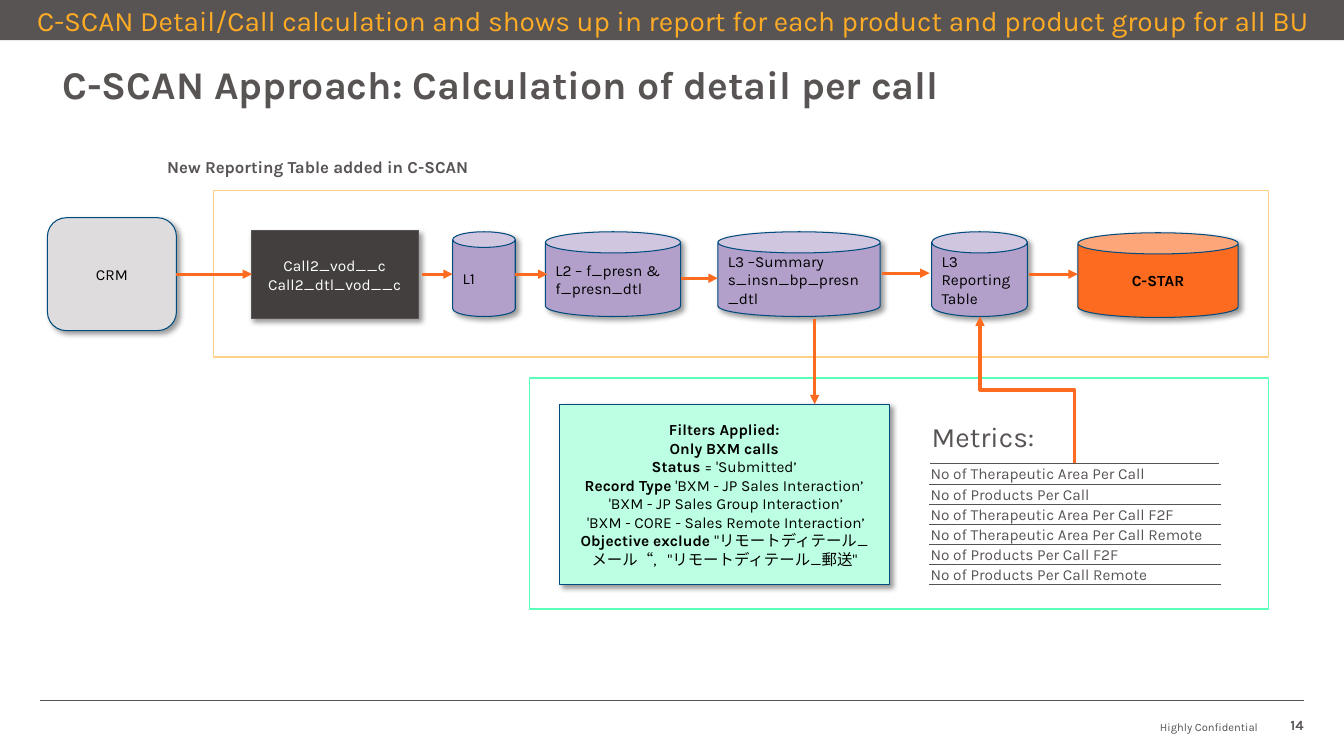
import pptx
import pptx.util
import pptx.dml.color
import pptx.enum.shapes
import pptx.enum.text
import pptx.oxml

Shape = pptx.enum.shapes.MSO_SHAPE
Link = pptx.enum.shapes.MSO_CONNECTOR
Align = pptx.enum.text.PP_ALIGN
Anchor = pptx.enum.text.MSO_ANCHOR
Pt = pptx.util.Pt
RGB = pptx.dml.color.RGBColor.from_string
PX = 9144
NS = 'xmlns:a="http://schemas.openxmlformats.org/drawingml/2006/main"'
COLORS = {
    "gray": "595454", "navy": "004B7E", "orange": "FC6B20", "amber": "FFAC25",
    "sand": "FFD186", "green": "59FFB9", "mint": "BDFFE3", "violet": "B2A0CA",
    "silver": "DEDCDC", "coal": "433F3F", "white": "FFFFFF", "black": "000000",
}

deck = pptx.Presentation()
deck.slide_width = 1333 * PX
deck.slide_height = 750 * PX
slide = deck.slides.add_slide(deck.slide_layouts[5])
shapes = slide.shapes


def write(frame, lines, size, color, align=Align.LEFT, anchor=Anchor.TOP, inset=0):
    frame.word_wrap = True
    frame.auto_size = pptx.enum.text.MSO_AUTO_SIZE.NONE
    frame.vertical_anchor = anchor
    frame.margin_left = frame.margin_right = inset * PX
    frame.margin_top = frame.margin_bottom = inset * PX
    for i, parts in enumerate(lines):
        para = frame.paragraphs[0] if i == 0 else frame.add_paragraph()
        para.alignment = align
        for text, bold in zip(parts, (True, False)):
            if text:
                run = para.add_run()
                run.text = text
                run.font.name = "Karla"
                run.font.size = Pt(size)
                run.font.bold = bold
                run.font.color.rgb = RGB(COLORS[color])


def draw(kind, place, fill, line=None, width=0.75, shadow=False):
    shape = shapes.add_shape(kind, *[n * PX for n in place])
    shape.fill.solid()
    shape.fill.fore_color.rgb = RGB(COLORS[fill])
    if line:
        shape.line.color.rgb = RGB(COLORS[line])
        shape.line.width = Pt(width)
    else:
        shape.line.fill.background()
    shape.shadow.inherit = False
    if shadow:
        shape._element.spPr.find(pptx.oxml.ns.qn("a:effectLst")).append(pptx.oxml.parse_xml(
            f'<a:outerShdw {NS} blurRad="50800" dist="38100" dir="2700000" algn="tl" rotWithShape="0">'
            '<a:srgbClr val="000000"><a:alpha val="40000"/></a:srgbClr></a:outerShdw>'))
    return shape


title = shapes.title
title.left, title.top, title.width, title.height = [n * PX for n in (62, 65, 1210, 57)]
write(title.text_frame, [("C-SCAN Approach: Calculation of detail per call", "")], 28, "gray")
title.text_frame.paragraphs[0].line_spacing = 0.9

draw(Shape.RECTANGLE, (525, 375, 733, 229), "white", "green", 1)
draw(Shape.RECTANGLE, (212, 189, 1046, 165), "white", "sand", 1)

banner = draw(Shape.RECTANGLE, (0, 0, 1336, 40), "gray")
write(banner.text_frame, [("", "C-SCAN Detail/Call calculation and shows up in report for each product and product group for all BU")],
      20, "amber", Align.CENTER, Anchor.MIDDLE, 5)

filters = [
    ("Filters Applied:", ""),
    ("Only BXM calls", ""),
    ("Status", " = 'Submitted’"),
    ("Record Type", " 'BXM - JP Sales Interaction’"),
    ("", " 'BXM - JP Sales Group Interaction’"),
    ("", " 'BXM - CORE - Sales Remote Interaction’"),
    ("Objective exclude ", "\"リモートディテール_メール“,   \"リモートディテール_郵送\""),
]
steps = [
    (Shape.ROUNDED_RECTANGLE, (47, 216, 128, 112), "silver", "navy", "black", Align.CENTER, [("", "CRM")]),
    (Shape.RECTANGLE, (249, 229, 166, 87), "coal", "gray", "white", Align.CENTER,
     [("", "Call2_vod__c"), ("", "Call2_dtl_vod__c")]),
    (Shape.CAN, (449, 230, 62, 84), "violet", "navy", "black", Align.LEFT, [("", "L1")]),
    (Shape.CAN, (541, 230, 134, 84), "violet", "navy", "black", Align.LEFT, [("", "L2 – f_presn & f_presn_dtl")]),
    (Shape.CAN, (712, 230, 161, 84), "violet", "navy", "black", Align.LEFT, [("", "L3 –Summary s_insn_bp_presn_dtl")]),
    (Shape.CAN, (924, 230, 95, 84), "violet", "navy", "black", Align.LEFT, [("", "L3 Reporting Table")]),
    (Shape.CAN, (1069, 231, 159, 84), "orange", "navy", "black", Align.CENTER, [("C-STAR", "")]),
    (Shape.RECTANGLE, (555, 401, 327, 179), "mint", "navy", "black", Align.CENTER, filters),
]
for kind, place, fill, line, ink, align, lines in steps:
    step = draw(kind, place, fill, line, shadow=True)
    write(step.text_frame, lines, 11, ink, align, Anchor.MIDDLE, 10)

links = [
    (Link.STRAIGHT, (40, 695, 1293, 695), "gray", 0.5),
    (Link.STRAIGHT, (175, 272, 250, 272), "orange", 2.25),
    (Link.STRAIGHT, (419, 272, 449, 272), "orange", 2.25),
    (Link.STRAIGHT, (511, 272, 543, 272), "orange", 2.25),
    (Link.STRAIGHT, (675, 276, 712, 276), "orange", 2.25),
    (Link.STRAIGHT, (875, 271, 922, 271), "orange", 2.25),
    (Link.STRAIGHT, (1021, 272, 1069, 272), "orange", 2.25),
    (Link.STRAIGHT, (808, 316, 808, 401), "orange", 2.25),
    (Link.ELBOW, (946, 434, 1092, 340), "orange", 2.25),
]
for kind, ends, color, width in links:
    link = shapes.add_connector(kind, *[n * PX for n in ends])
    link.line.color.rgb = RGB(COLORS[color])
    link.line.width = Pt(width)
    props = link._element.spPr
    props.append(pptx.oxml.parse_xml(f"<a:effectLst {NS}/>"))
    if color == "orange":
        link.line._get_or_add_ln().append(pptx.oxml.parse_xml(f'<a:tailEnd {NS} type="triangle"/>'))
    if kind == Link.ELBOW:
        props.xfrm.set("rot", "16200000")

metrics = [
    "No of Therapeutic Area Per Call",
    "No of Products Per Call",
    "No of Therapeutic Area Per Call F2F",
    "No of Therapeutic Area Per Call Remote",
    "No of Products Per Call F2F",
    "No of Products Per Call Remote",
]
table = shapes.add_table(len(metrics), 1, 922 * PX, 460 * PX, 288 * PX, 120 * PX).table
table.first_row = False
table.horz_banding = False
for i, metric in enumerate(metrics):
    table.rows[i].height = 20 * PX
    cell = table.cell(i, 0)
    cell.fill.background()
    cell.vertical_anchor = Anchor.BOTTOM
    cell.margin_left = cell.margin_right = cell.margin_top = PX
    cell.margin_bottom = 0
    cell.text_frame.text = metric
    font = cell.text_frame.paragraphs[0].runs[0].font
    font.name = "Karla"
    font.size = Pt(11)
    font.color.rgb = RGB(COLORS["gray"])
    for j, side in enumerate(("lnT", "lnB")):
        cell._tc.get_or_add_tcPr().insert(j, pptx.oxml.parse_xml(
            f'<a:{side} {NS} w="6350"><a:solidFill><a:srgbClr val="{COLORS["gray"]}"/></a:solidFill></a:{side}>'))

notes = [
    ((156, 146, 433, 40), ("New Reporting Table added in C-SCAN", ""), 12, Align.LEFT, Anchor.TOP, 10, 0),
    ((924, 416, 132, 56), ("", "Metrics:"), 20, Align.LEFT, Anchor.TOP, 0, 12),
    ((897, 703, 351, 25), ("", "Highly Confidential"), 8, Align.RIGHT, Anchor.BOTTOM, 0, 0),
    ((1258, 703, 35, 25), ("14", ""), 10, Align.RIGHT, Anchor.BOTTOM, 0, 0),
]
for place, line, size, align, anchor, inset, gap in notes:
    frame = shapes.add_textbox(*[n * PX for n in place]).text_frame
    write(frame, [line], size, "gray", align, anchor, inset)
    frame.paragraphs[0].space_before = Pt(gap)

deck.save("out.pptx")
